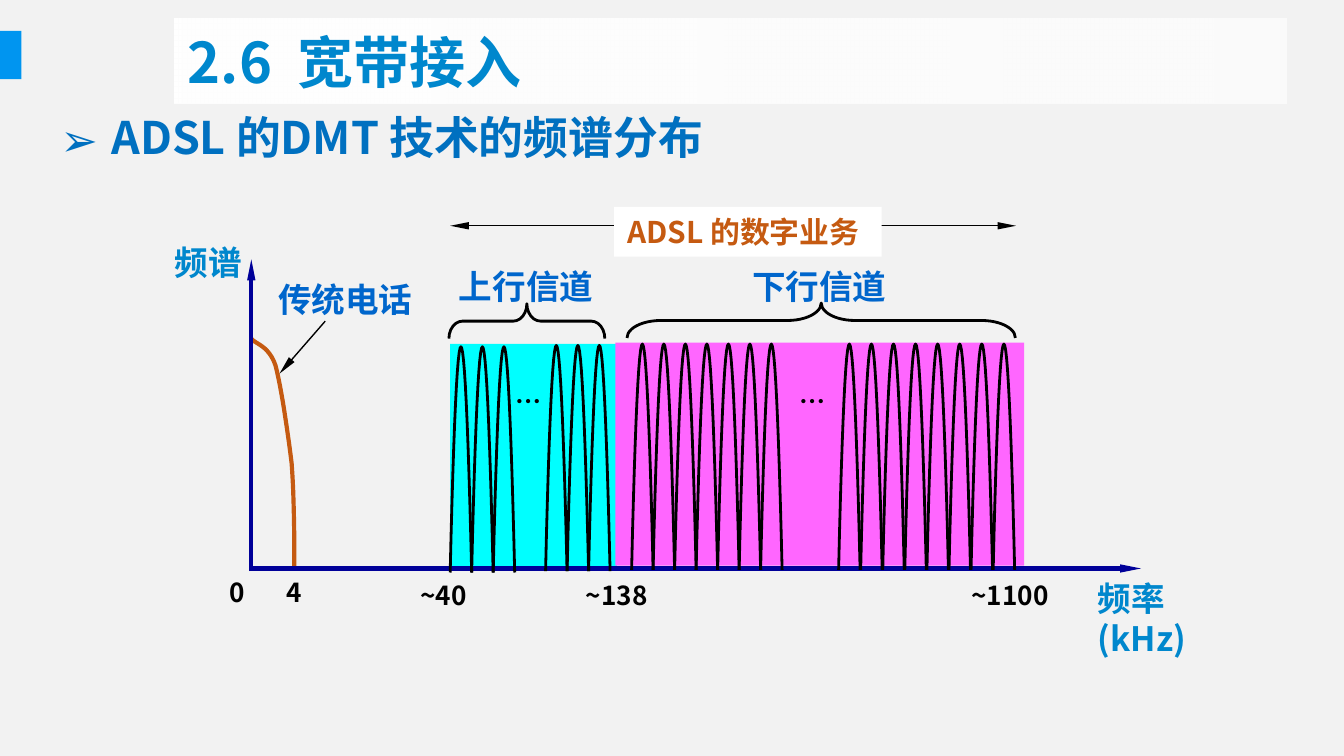
from lxml.etree import SubElement
from pptx import Presentation
from pptx.dml.color import RGBColor
from pptx.enum.shapes import MSO_CONNECTOR, MSO_SHAPE
from pptx.enum.text import MSO_ANCHOR, PP_ALIGN
from pptx.oxml.ns import qn
from pptx.util import Inches, Pt

FONT = "Noto Sans CJK SC"
BLACK, NAVY, ORANGE = "000000", "000099", "C55A11"
SKY, BLUE = "0087CD", "0066CC"

# text, (left, top, width, height), size, colour, alignment, wrap
LABELS = [
    ("…", (3.74, 2.82, 0.39, 0.34), 14, BLACK, PP_ALIGN.LEFT, False),
    ("…", (5.85, 2.82, 0.39, 0.34), 14, BLACK, PP_ALIGN.LEFT, False),
    ("频谱", (1.2, 1.75, 0.71, 0.4), 18, SKY, PP_ALIGN.LEFT, False),
    ("频率(kHz)", (8.07, 4.25, 1, 0.7), 18, SKY, PP_ALIGN.LEFT, True),
    ("上行信道", (3.31, 1.93, 1.21, 0.4), 18, BLUE, PP_ALIGN.CENTER, False),
    ("下行信道", (5.49, 1.93, 1.21, 0.4), 18, BLUE, PP_ALIGN.CENTER, False),
    ("传统电话", (1.97, 2.03, 1.21, 0.4), 18, BLUE, PP_ALIGN.LEFT, False),
    ("0", (1.61, 4.24, 0.32, 0.34), 14, BLACK, PP_ALIGN.LEFT, False),
    ("4", (2.03, 4.24, 0.32, 0.34), 14, BLACK, PP_ALIGN.LEFT, False),
    ("~40", (3.03, 4.26, 0.59, 0.34), 14, BLACK, PP_ALIGN.LEFT, False),
    ("~138", (4.26, 4.26, 0.71, 0.34), 14, BLACK, PP_ALIGN.LEFT, False),
    ("~1100", (7.13, 4.26, 0.83, 0.34), 14, BLACK, PP_ALIGN.LEFT, False),
]
# start, end, colour, width, arrowheads
DIGITAL_SPAN = ((3.35, 1.68), (7.56, 1.68), BLACK, 0.75, ("headEnd", "tailEnd"))
ARROWS = [
    ((1.87, 4.25), (1.87, 1.93), NAVY, 2.25, ("tailEnd",)),
    ((1.87, 4.23), (8.49, 4.23), NAVY, 2.25, ("tailEnd",)),
    ((2.42, 2.39), (2.08, 2.78), BLACK, 0.75, ("tailEnd",)),
]
BANDS = [((3.35, 2.56, 1.24, 1.66), "00FFFF"), ((4.58, 2.55, 3.04, 1.66), "FF66FF")]
# frame before the quarter turn, curl of the ends
BRACES = [((3.79, 1.81, 0.26, 1.16), 0.39), ((5.98, 0.94, 0.26, 2.89), 0.97)]
# first left edge, top, last left edge, number of subchannels
SUBCHANNELS = [(3.35, 2.58, 3.67, 3), (4.06, 2.57, 4.38, 3),
               (4.7, 2.56, 5.66, 7), (6.24, 2.56, 7.39, 8)]
LOBE_WIDTH, LOBE_HEIGHT = 0.16, 1.68
# Bezier segments of the telephone band, four points each
PHONE_CURVE = [
    ((1.87, 2.52), (1.9, 2.56), (2, 2.57), (2.05, 2.72)),
    ((2.05, 2.72), (2.09, 2.87), (2.14, 3.2), (2.17, 3.45)),
    ((2.17, 3.45), (2.19, 3.7), (2.19, 4.06), (2.19, 4.23)),
]
STEPS = 12


def color(value):
    return RGBColor.from_string(value)


def add_block(page, frame, fill=None, kind=MSO_SHAPE.RECTANGLE):
    block = page.shapes.add_shape(kind, *map(Inches, frame))
    block.shadow.inherit = False
    block.line.fill.background()
    if fill:
        block.fill.solid()
        block.fill.fore_color.rgb = color(fill)
    else:
        block.fill.background()
    return block


def write(box, text, size, ink, align=PP_ALIGN.LEFT, wrap=False, anchor=MSO_ANCHOR.TOP):
    box.text_frame.word_wrap = wrap
    box.text_frame.vertical_anchor = anchor
    para = box.text_frame.paragraphs[0]
    para.text = text
    para.alignment = align
    para.font.name = FONT
    para.font.size = Pt(size)
    para.font.bold = True
    para.font.color.rgb = color(ink)
    for span in para.runs:
        span.font.name = FONT
        SubElement(span.font._element, qn("a:ea")).set("typeface", FONT)


def stroke(shape, ink, width):
    shape.line.color.rgb = color(ink)
    shape.line.width = Pt(width)


def add_arrow(page, start, end, ink, width, heads):
    arrow = page.shapes.add_connector(MSO_CONNECTOR.STRAIGHT, *map(Inches, start + end))
    stroke(arrow, ink, width)
    for head in heads:
        tip = SubElement(arrow.line._get_or_add_ln(), qn(f"a:{head}"))
        for name, value in (("type", "triangle"), ("w", "sm"), ("len", "lg")):
            tip.set(name, value)
    SubElement(arrow._element.spPr, qn("a:effectLst"))


def add_curve(page, points, ink, width):
    corners = [(Inches(x), Inches(y)) for x, y in points]
    builder = page.shapes.build_freeform(*corners[0])
    builder.add_line_segments(corners[1:], close=False)
    curve = builder.convert_to_shape()
    curve.shadow.inherit = False
    curve.fill.background()
    stroke(curve, ink, width)


def bezier(controls):
    for step in range(STEPS + 1):
        t = step / STEPS
        weights = ((1 - t) ** 3, 3 * t * (1 - t) ** 2, 3 * t * t * (1 - t), t ** 3)
        yield tuple(sum(w * c for w, c in zip(weights, axis)) for axis in zip(*controls))


def lobe(left, top):
    """Points of a parabola that opens downwards."""
    for step in range(-STEPS, STEPS + 1):
        u = step / STEPS
        yield left + LOBE_WIDTH * (1 + u) / 2, top + LOBE_HEIGHT * u * u


def add_headings(page):
    title = add_block(page, (1.3, 0.14, 8.27, 0.63))
    title.fill.gradient()
    title.fill.gradient_angle = 0
    for stop, position in zip(title.fill.gradient_stops, (0, 1)):
        stop.color.rgb = color("FFFFFF")
        stop.position = position
    last_color = title._element.spPr.findall(".//" + qn("a:srgbClr"))[-1]
    SubElement(last_color, qn("a:alpha")).set("val", "67000")
    write(title, "2.6  宽带接入", 30, SKY, wrap=True, anchor=MSO_ANCHOR.MIDDLE)

    box = page.shapes.add_textbox(*map(Inches, (0.35, 0.77, 9.21, 0.5)))
    properties = box.text_frame.paragraphs[0]._p.get_or_add_pPr()
    properties.set("marL", str(Inches(0.38)))
    properties.set("indent", str(-Inches(0.38)))
    SubElement(properties, qn("a:buFont")).set("typeface", FONT)
    SubElement(properties, qn("a:buChar")).set("char", "➢")
    write(box, "ADSL 的DMT 技术的频谱分布", 24, "0070C0", wrap=True)


def main():
    deck = Presentation()
    deck.slide_width = Inches(10)
    deck.slide_height = deck.slide_width * 9 // 16
    page = deck.slides.add_slide(deck.slide_layouts[6])
    page.background.fill.solid()
    page.background.fill.fore_color.rgb = color("F2F2F2")

    add_block(page, (-0.01, 0.23, 0.17, 0.36), "0095F0")
    for frame, fill in BANDS:
        add_block(page, frame, fill)
    add_arrow(page, *DIGITAL_SPAN)
    service = add_block(page, (4.57, 1.54, 1.99, 0.37), "FFFFFF")
    write(service, "ADSL 的数字业务", 16, ORANGE)

    phone = [point for controls in PHONE_CURVE for point in bezier(controls)]
    add_curve(page, phone, ORANGE, 2.25)
    for arrow in ARROWS:
        add_arrow(page, *arrow)
    for frame, curl in BRACES:
        brace = add_block(page, frame, kind=MSO_SHAPE.LEFT_BRACE)
        brace.adjustments[0] = curl
        brace.rotation = 90
        stroke(brace, BLACK, 1.5)
    for first, top, last, count in SUBCHANNELS:
        pitch = (last - first) / (count - 1)
        for index in range(count):
            add_curve(page, lobe(first + index * pitch, top), BLACK, 1.5)
    for text, frame, *style in LABELS:
        write(page.shapes.add_textbox(*map(Inches, frame)), text, *style)
    add_headings(page)
    deck.save("out.pptx")


if __name__ == "__main__":
    main()
